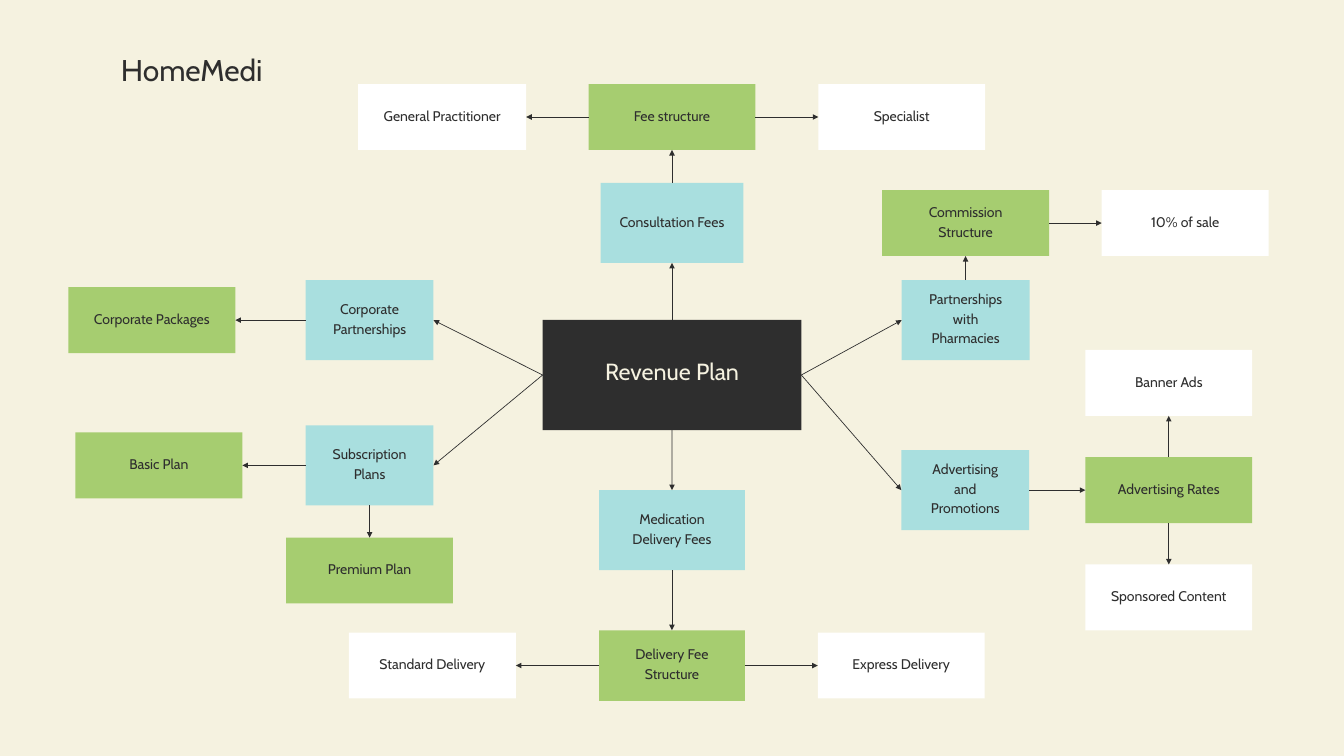
from dataclasses import dataclass

from lxml.etree import SubElement
from pptx import Presentation
from pptx.dml.color import RGBColor
from pptx.enum.shapes import MSO_CONNECTOR as Connector, MSO_SHAPE as Preset
from pptx.enum.text import MSO_ANCHOR as Anchor, MSO_AUTO_SIZE as AutoSize, PP_ALIGN as Align
from pptx.oxml.ns import qn
from pptx.util import Pt


@dataclass(frozen=True)
class Theme:
    font: str = "Cabin"
    cream: str = "F5F2E0"
    dark: str = "2E2E2E"
    blue: str = "A9DFDF"
    green: str = "A6CD70"
    white: str = "FFFFFF"
    title_size: float = 32.1
    hub_size: float = 25
    node_size: float = 15
    line_width: float = 0.75


THEME = Theme()
TOP, LEFT, BOTTOM, RIGHT = range(4)  # connection sites of a rectangle


@dataclass(frozen=True)
class Node:
    """A box whose offset runs from its parent's centre to its own."""
    text: str
    offset: tuple
    fill: str
    size: tuple
    children: tuple = ()


def topic(text, dx, dy, *children, width=137):
    return Node(text, (dx, dy), THEME.blue, (width, 85.8), children)


def plan(text, dx, dy, *children, size=(178.8, 70.6)):
    return Node(text, (dx, dy), THEME.green, size, children)


def detail(text, dx, dy, width=178.8):
    return Node(text, (dx, dy), THEME.white, (width, 70.6))


HUB_BOX = (581.4, 342.8, 277.2, 118)
BRANCHES = (
    topic("Consultation Fees", 0, -163,
          plan("Fee structure", 0, -113.4,
               detail("General Practitioner", -246.2, 0, width=180),
               detail("Specialist", 246.2, 0)),
          width=153),
    topic("Medication Delivery Fees", 0, 166.3,
          plan("Delivery Fee Structure", 0, 145,
               detail("Standard Delivery", -256.7, 0),
               detail("Express Delivery", 245.6, 0),
               size=(156.4, 75.6)),
          width=156.4),
    topic("Corporate Partnerships", -324, -58.8,
          plan("Corporate Packages", -233.3, 0)),
    topic("Subscription Plans", -324, 96.8,
          plan("Basic Plan", -225.7, 0),
          plan("Premium Plan", 0, 112.7)),
    topic("Partnerships with Pharmacies", 314.6, -58.8,
          plan("Commission Structure", 0, -104,
               detail("10% of sale", 235.2, 0))),
    topic("Advertising and Promotions", 314.2, 123.3,
          plan("Advertising Rates", 218.1, 0,
               detail("Banner Ads", 0, -114.8),
               detail("Sponsored Content", 0, 115))),
)


def color(value):
    return RGBColor.from_string(value)


def write_text(shape, text, *, size, ink, spacing, align=Align.CENTER,
               anchor=Anchor.MIDDLE, insets=(0, 0, 0, 0)):
    """Fill a shape with one paragraph; insets are left, top, right, bottom."""
    frame = shape.text_frame
    frame.word_wrap = True
    frame.auto_size = AutoSize.NONE
    frame.vertical_anchor = anchor
    (frame.margin_left, frame.margin_top,
     frame.margin_right, frame.margin_bottom) = map(Pt, insets)
    paragraph = frame.paragraphs[0]
    paragraph.text = text
    paragraph.alignment = align
    paragraph.line_spacing = Pt(spacing)
    font = paragraph.runs[0].font
    font.name = THEME.font
    font.size = Pt(size)
    font.color.rgb = color(ink)


def add_box(slide, box, fill):
    shape = slide.shapes.add_shape(Preset.RECTANGLE, *map(Pt, box))
    shape.shadow.inherit = False
    shape.fill.solid()
    shape.fill.fore_color.rgb = color(fill)
    shape.line.fill.background()
    return shape


def add_arrow(slide, start, end, dx, dy):
    """Join two boxes on the sides that face along the longer offset."""
    if abs(dx) > abs(dy):
        sides = (RIGHT, LEFT) if dx > 0 else (LEFT, RIGHT)
    else:
        sides = (BOTTOM, TOP) if dy > 0 else (TOP, BOTTOM)
    arrow = slide.shapes.add_connector(Connector.STRAIGHT, 0, 0, 0, 0)
    arrow.begin_connect(start, sides[0])
    arrow.end_connect(end, sides[1])
    arrow.line.color.rgb = color(THEME.dark)
    arrow.line.width = Pt(THEME.line_width)
    properties = arrow._element.spPr
    SubElement(properties.find(qn("a:ln")), qn("a:tailEnd"), type="triangle")
    SubElement(properties, qn("a:effectLst"))


def draw_title(slide, box):
    title = slide.shapes.title
    title.left, title.top, title.width, title.height = map(Pt, box)
    write_text(title, "HomeMedi", size=THEME.title_size, ink=THEME.dark,
               spacing=38.5, align=Align.JUSTIFY, anchor=Anchor.TOP)


def draw_hub(slide, box):
    hub = add_box(slide, box, THEME.dark)
    write_text(hub, "Revenue Plan", size=THEME.hub_size, ink=THEME.cream,
               spacing=35, insets=(20, 7, 20, 20))
    return hub


def draw_branch(slide, node, parent, parent_box):
    """Draw a node, its arrow from the parent, and all nodes below it."""
    left, top, parent_width, parent_height = parent_box
    width, height = node.size
    dx, dy = node.offset
    box = (left + (parent_width - width) / 2 + dx,
           top + (parent_height - height) / 2 + dy, width, height)
    shape = add_box(slide, box, node.fill)
    write_text(shape, node.text, size=THEME.node_size, ink=THEME.dark,
               spacing=21, insets=(20, 14, 20, 20))
    add_arrow(slide, parent, shape, dx, dy)
    for child in node.children:
        draw_branch(slide, child, shape, box)


def main():
    presentation = Presentation()
    presentation.slide_width, presentation.slide_height = Pt(1440), Pt(810)
    slide = presentation.slides.add_slide(presentation.slide_layouts[5])
    slide.background.fill.solid()
    slide.background.fill.fore_color.rgb = color(THEME.cream)
    draw_title(slide, (129.6, 54.7, 337.7, 38.2))
    hub = draw_hub(slide, HUB_BOX)
    for branch in BRANCHES:
        draw_branch(slide, branch, hub, HUB_BOX)
    presentation.save("out.pptx")


if __name__ == "__main__":
    main()
